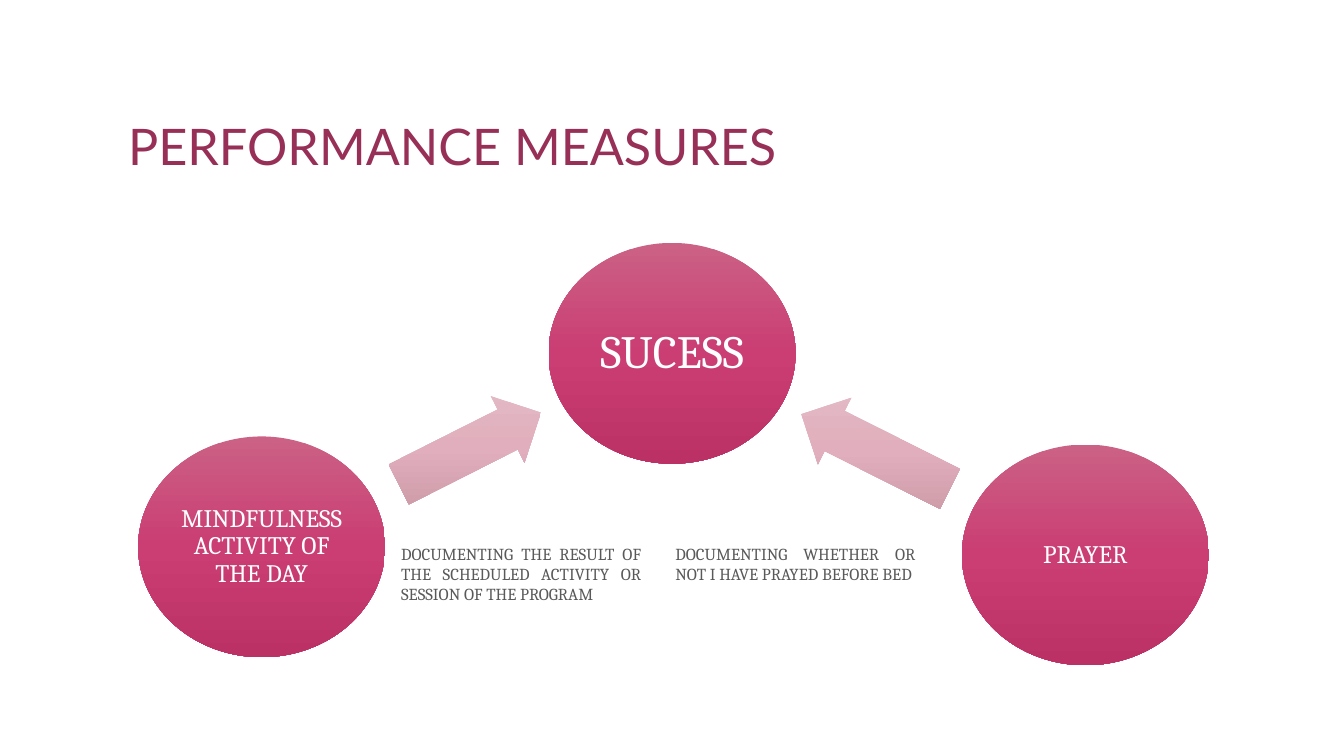
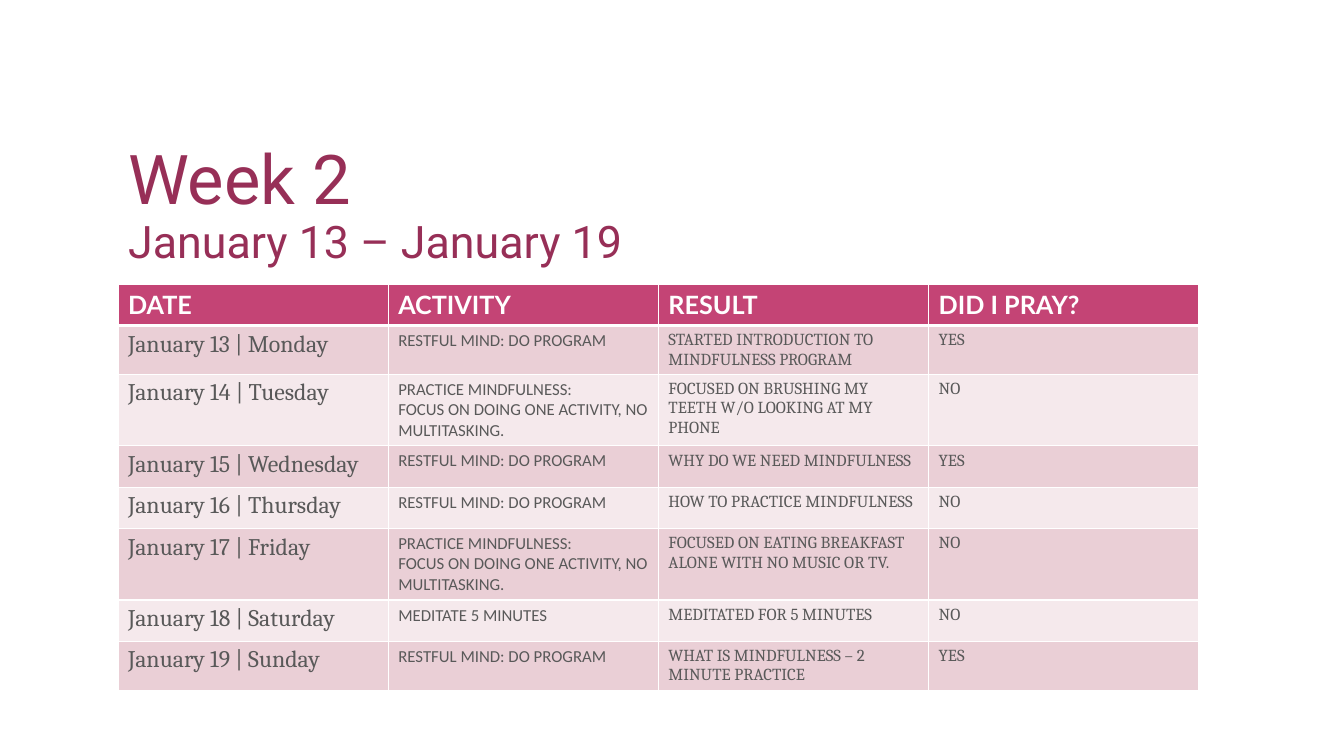
from copy import deepcopy

from pptx import Presentation
from pptx.dml.color import RGBColor
from pptx.enum.shapes import MSO_SHAPE
from pptx.enum.text import MSO_ANCHOR, MSO_AUTO_SIZE, PP_ALIGN
from pptx.oxml import parse_xml
from pptx.oxml.ns import nsdecls, qn
from pptx.util import Inches, Pt


def color(code):
    return RGBColor.from_string(code)


def write(frame, text, size=12, font="Cambria", ink="595959", bold=False,
          align=PP_ALIGN.LEFT, anchor=MSO_ANCHOR.TOP, lead=1.0, inset=None):
    """Fill a text frame, one paragraph per line of text."""
    frame.word_wrap = True
    frame.vertical_anchor = anchor
    if inset is not None:
        frame.margin_left = frame.margin_right = Inches(inset)
        frame.margin_top = frame.margin_bottom = Inches(inset)
    for i, line in enumerate(text.split("\n")):
        para = frame.add_paragraph() if i else frame.paragraphs[0]
        para.alignment = align
        para.line_spacing = lead
        run = para.add_run()
        run.text = line
        run.font.size = Pt(size)
        run.font.name = font
        run.font.bold = bold
        run.font.color.rgb = color(ink)


def edge(cell, top=1, bottom=1):
    """Draw white cell borders; call before the fill is set."""
    props = cell._tc.get_or_add_tcPr()
    for side, width in (("L", 1), ("R", 1), ("T", top), ("B", bottom)):
        props.append(parse_xml(
            f'<a:ln{side} {nsdecls("a")} w="{Pt(width)}"><a:solidFill>'
            f'<a:srgbClr val="FFFFFF"/></a:solidFill></a:ln{side}>'))


class Deck:
    TITLE = "972F57"
    WHITE = "FFFFFF"
    HEAD = "C44475"
    BANDS = ("EACFD6", "F5E9EC")
    DISC = ("CB6185", "CA3E73", "BB3065")
    ARROW = ("E3BBC6", "E0AEBC", "CB98A5")

    def __init__(self):
        self.prs = Presentation()
        self.prs.slide_width = Inches(13.33)
        self.prs.slide_height = Inches(7.5)

    def start(self, title, box, size, font):
        """Open a new slide and return the text frame of its title."""
        self.slide = self.prs.slides.add_slide(self.prs.slide_layouts[5])
        shape = self.slide.shapes.title
        shape.left, shape.top, shape.width, shape.height = map(Inches, box)
        frame = shape.text_frame
        frame.auto_size = MSO_AUTO_SIZE.NONE
        write(frame, title, size=size, font=font, ink=self.TITLE,
              anchor=MSO_ANCHOR.BOTTOM, lead=0.9)
        return frame

    def shape(self, kind, box, shades):
        """Add a preset shape shaded from top to bottom."""
        shape = self.slide.shapes.add_shape(kind, *map(Inches, box))
        shape.shadow.inherit = False
        shape.line.fill.background()
        shape.fill.gradient()
        shape.fill.gradient_angle = 270
        grad = shape._element.spPr.find(qn("a:gradFill"))
        grad.set("rotWithShape", "0")
        stops = grad.find(qn("a:gsLst"))
        stops.insert(1, deepcopy(stops[0]))
        for i, stop in enumerate(shape.fill.gradient_stops):
            stop.position = i / 2
            stop.color.rgb = color(shades[i])
        return shape

    def disc(self, text, left, top, size=18, inset=0.03):
        shape = self.shape(MSO_SHAPE.OVAL, (left, top, 2.45, 2.19), self.DISC)
        write(shape.text_frame, text, size=size, ink=self.WHITE, lead=0.9,
              align=PP_ALIGN.CENTER, anchor=MSO_ANCHOR.MIDDLE, inset=inset)

    def arrow(self, left, top, width, turn):
        shape = self.shape(MSO_SHAPE.RIGHT_ARROW, (left, top, width, 0.74),
                           self.ARROW)
        shape.adjustments[0] = 0.6
        shape.adjustments[1] = 0.5
        shape.rotation = turn

    def note(self, text, left):
        box = self.slide.shapes.add_textbox(
            *map(Inches, (left, 5.34, 2.58, 0.71)))
        write(box.text_frame, text, align=PP_ALIGN.JUSTIFY)

    def table(self, head, rows, left, top, wide, high):
        count = len(rows) + 1
        table = self.slide.shapes.add_table(
            count, len(head), Inches(left), Inches(top),
            Inches(wide * len(head)), Inches(high * count)).table
        table.horz_banding = False
        looks = [dict(size=17), dict(font="Calibri"), {}, {}]
        for r, row in enumerate([head, *rows]):
            for c, text in enumerate(row):
                cell = table.cell(r, c)
                edge(cell, top=3 if r == 1 else 1, bottom=1 if r else 3)
                cell.fill.solid()
                fill = self.BANDS[(r - 1) % 2] if r else self.HEAD
                cell.fill.fore_color.rgb = color(fill)
                look = looks[c] if r else dict(
                    size=18, font="Lato", ink=self.WHITE, bold=True)
                write(cell.text_frame, text, **look)


def goals(deck):
    deck.start("PERFORMANCE MEASURES", (1.17, 0.5, 11, 1.3), 36, "Lato")
    deck.disc("SUCESS", 5.44, 2.41, size=33, inset=0.05)
    deck.arrow(7.86, 4.11, 1.65, 206.7)
    deck.disc("PRAYER", 9.54, 4.41)
    deck.arrow(3.87, 4.08, 1.58, 333.2)
    deck.disc("MINDFULNESS ACTIVITY OF THE DAY", 1.37, 4.33)
    deck.note("DOCUMENTING THE RESULT OF THE SCHEDULED ACTIVITY OR "
              "SESSION OF THE PROGRAM", 3.88)
    deck.note("DOCUMENTING WHETHER OR NOT I HAVE PRAYED BEFORE BED", 6.6)


def week(deck):
    title = deck.start("Week 2\nJanuary 13 – January 19",
                       (1.17, 1.24, 6.03, 1.47), 49, "Roboto")
    dates = title.paragraphs[1]
    dates.space_before = Pt(0)
    dates.runs[0].font.size = Pt(32)
    app = "RESTFUL MIND: DO PROGRAM"
    focus = ("PRACTICE MINDFULNESS:\n"
             "FOCUS ON DOING ONE ACTIVITY, NO MULTITASKING.")
    days = [
        ("Monday", app, "STARTED INTRODUCTION TO MINDFULNESS PROGRAM", "YES"),
        ("Tuesday", focus,
         "FOCUSED ON BRUSHING MY TEETH W/O LOOKING AT MY PHONE", "NO"),
        ("Wednesday", app, "WHY DO WE NEED MINDFULNESS", "YES"),
        ("Thursday", app, "HOW TO PRACTICE MINDFULNESS", "NO"),
        ("Friday", focus,
         "FOCUSED ON EATING BREAKFAST ALONE WITH NO MUSIC OR TV.", "NO"),
        ("Saturday", "MEDITATE 5 MINUTES", "MEDITATED FOR 5 MINUTES", "NO"),
        ("Sunday", app, "WHAT IS MINDFULNESS – 2 MINUTE PRACTICE", "YES"),
    ]
    rows = [(f"January {date} | {day}", *rest)
            for date, (day, *rest) in enumerate(days, 13)]
    deck.table(("DATE", "ACTIVITY", "RESULT", "DID I PRAY?"), rows,
               1.17, 2.82, 2.68, 0.41)


def main():
    deck = Deck()
    goals(deck)
    week(deck)
    deck.prs.save("out.pptx")


if __name__ == "__main__":
    main()
